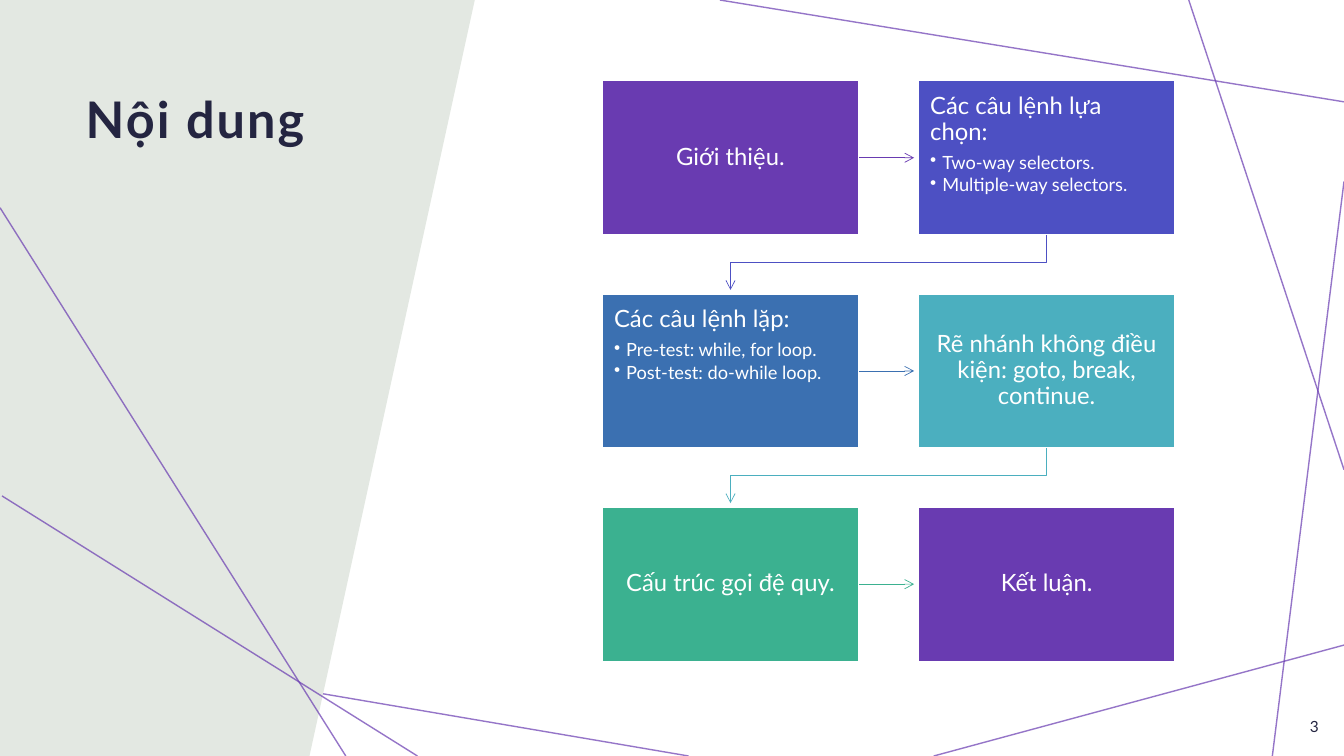
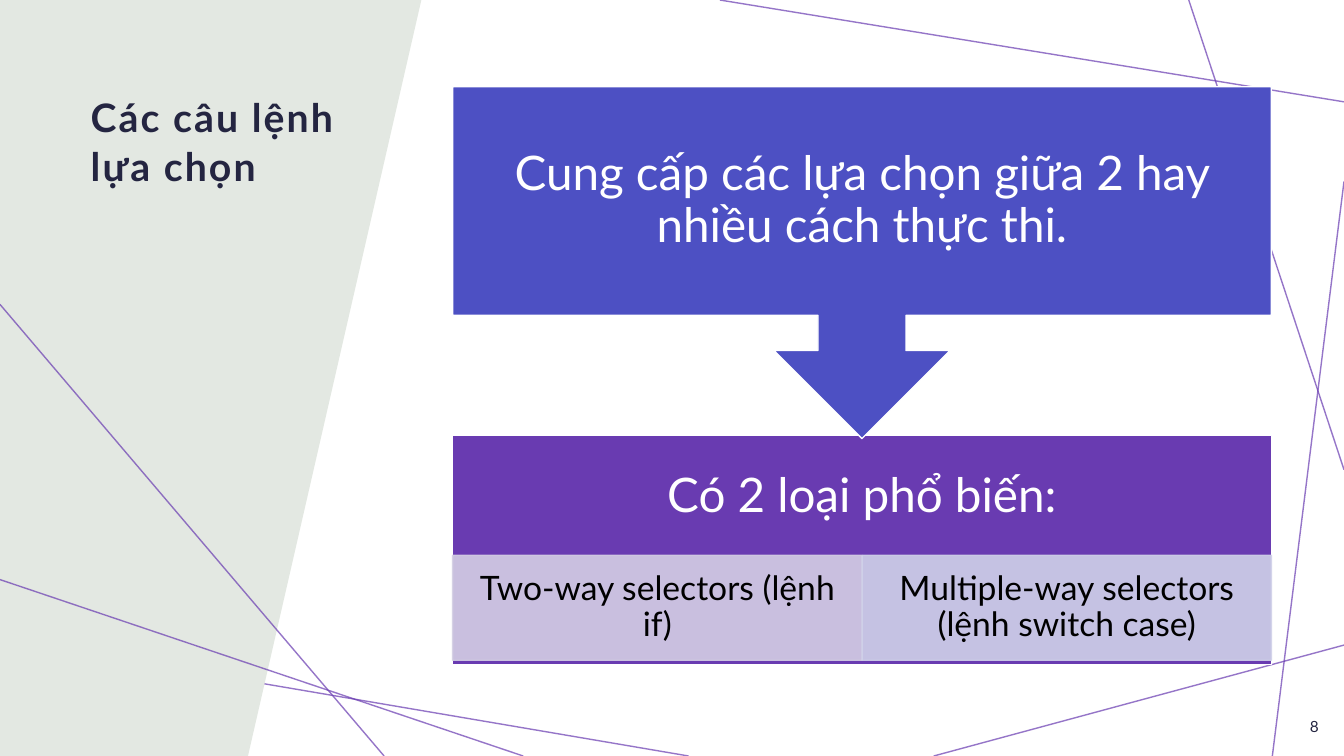
from lxml import etree
from pptx import Presentation
from pptx.dml.color import RGBColor as Rgb
from pptx.enum.shapes import MSO_CONNECTOR as Link, MSO_SHAPE as Kind
from pptx.enum.text import MSO_ANCHOR as Anchor, MSO_AUTO_SIZE as Fit, PP_ALIGN as Align
from pptx.oxml.ns import qn
from pptx.util import Inches, Pt

WIDE, HIGH = Inches(13.33), Inches(7.5)
PAGE = (0, 0, WIDE, HIGH)
FONT = "Lato"
WHITE = Rgb(0xFF, 0xFF, 0xFF)
BLACK = Rgb(0, 0, 0)
INK = Rgb(0x24, 0x25, 0x41)
SAGE = Rgb(0xE3, 0xE8, 0xE2)
PURPLE = Rgb(0x69, 0x3B, 0xB1)
INDIGO = Rgb(0x4D, 0x50, 0xC3)
BLUE = Rgb(0x3B, 0x70, 0xB1)
TEAL = Rgb(0x4B, 0xAF, 0xBF)
GREEN = Rgb(0x3B, 0xB1, 0x90)
LILAC = Rgb(0xD4, 0xCE, 0xE4)
HAZE = Rgb(0xD0, 0xD1, 0xE9)

RAYS = [
    (51.24, 100, 0, 84.5),
    (100, 85.33, 69.47, 100),
    (100, 24, 94.67, 100),
    (100, 62.13, 88.45, 0),
    (100, 13.47, 53.56, 0),
]
STEPS = [
    (PURPLE, "Giới thiệu.", []),
    (INDIGO, "Các câu lệnh lựa chọn:", ["Two-way selectors.", "Multiple-way selectors."]),
    (BLUE, "Các câu lệnh lặp:", ["Pre-test: while, for loop.", "Post-test: do-while loop."]),
    (TEAL, "Rẽ nhánh không điều kiện: goto, break, continue.", []),
    (GREEN, "Cấu trúc gọi đệ quy.", []),
    (PURPLE, "Kết luận.", []),
]


def part(box, x, y, w, h):
    left, top, wide, high = box
    return (int(left + wide * x / 100), int(top + high * y / 100),
            int(wide * w / 100), int(high * h / 100))


def spot(x, y):
    return part(PAGE, x, y, 0, 0)[:2]


def fade(node, share):
    for tint in node.iter(qn("a:srgbClr")):
        etree.SubElement(tint, qn("a:alpha")).set("val", str(share * 1000))


def inset(frame, side, top, base=None):
    frame.word_wrap = True
    frame.margin_left = frame.margin_right = Inches(side)
    frame.margin_top = Inches(top)
    frame.margin_bottom = Inches(top if base is None else base)


def write(para, text, size, color, align=Align.LEFT, pitch=0.9):
    para.alignment = align
    para.line_spacing = pitch
    run = para.add_run()
    run.text = text
    font = run.font
    font.name, font.size, font.color.rgb = FONT, Pt(size), color
    return run


def draw(slide, kind, start, end, color, width):
    line = slide.shapes.add_connector(kind, *start, *end)
    line.line.color.rgb = color
    line.line.width = Pt(width)
    etree.SubElement(line._element.spPr, qn("a:effectLst"))
    return line


def ray(slide, x1, y1, x2, y2):
    line = draw(slide, Link.STRAIGHT, spot(x1, y1), spot(x2, y2), PURPLE, 1)
    fade(line._element, 70)


def arrow(slide, kind, start, end, color):
    line = draw(slide, kind, start, end, color, 0.5)
    etree.SubElement(line.line._get_or_add_ln(), qn("a:tailEnd")).set("type", "arrow")
    return line


def block(slide, box, color, edge=WHITE, kind=Kind.RECTANGLE):
    shape = slide.shapes.add_shape(kind, *box)
    shape.shadow.inherit = False
    shape.fill.solid()
    shape.fill.fore_color.rgb = color
    shape.line.color.rgb = edge
    shape.line.width = Pt(1)
    shape.text_frame.vertical_anchor = Anchor.MIDDLE
    return shape


def panel(slide, top, base):
    form = slide.shapes.build_freeform(0, 0)
    form.add_line_segments([spot(top, 0), spot(base, 100), spot(0, 100)], close=True)
    shape = form.convert_to_shape()
    shape.shadow.inherit = False
    shape.fill.solid()
    shape.fill.fore_color.rgb = SAGE
    shape.line.fill.background()


def frame(deck, name, size, area, number, slant, rays):
    slide = deck.slides.add_slide(deck.slide_layouts[5])
    for ends in RAYS:
        ray(slide, *ends)
    panel(slide, *slant)
    for ends in rays:
        ray(slide, *ends)

    title = slide.shapes.title
    slide.shapes._spTree.append(title._element)
    title.left, title.top, title.width, title.height = part(PAGE, *area)
    body = title.text_frame
    body.auto_size = Fit.NONE
    body.vertical_anchor = Anchor.TOP
    inset(body, 0.12, 0.12, 0.1)
    run = write(body.paragraphs[0], name, size, INK, pitch=1.05)
    run.font.bold = True
    run.font._element.set("spc", "150")

    foot = slide.shapes.add_textbox(*part(PAGE, 95.2, 93.33, 3.83, 5.33)).text_frame
    inset(foot, 0.12, 0.12, 0.1)
    foot.vertical_anchor = Anchor.MIDDLE
    write(foot.paragraphs[0], number, 11, INK, Align.RIGHT, 1)
    return slide


def bullet(body, text):
    para = body.add_paragraph()
    write(para, text, 13, WHITE)
    para.space_after = Pt(2)
    prop = para._p.get_or_add_pPr()
    prop.set("marL", str(Inches(0.12)))
    prop.set("indent", str(-Inches(0.12)))
    etree.SubElement(prop, qn("a:buChar")).set("char", "•")


def step(slide, box, color, head, items):
    shape = block(slide, box, color)
    body = shape.text_frame
    inset(body, 0.12, 0.13)
    write(body.paragraphs[0], head, 17, WHITE, Align.LEFT if items else Align.CENTER)
    if items:
        body.vertical_anchor = Anchor.TOP
        body.paragraphs[0].space_after = Pt(6)
    for item in items:
        bullet(body, item)
    return shape


def bend(slide, start, end, color):
    x1, y1 = start
    x2, y2 = end
    midx, midy = (x1 + x2) // 2, (y1 + y2) // 2
    halfx, halfy = abs(y2 - y1) // 2, abs(x2 - x1) // 2
    line = arrow(slide, Link.ELBOW, (midx - halfx, midy - halfy),
                 (midx + halfx, midy + halfy), color)
    line._element.spPr.find(qn("a:xfrm")).set("rot", "5400000")


def flow(slide, box):
    left, top, wide, high = box
    cellw = int(wide / 2.23)
    cellh = int(cellw * 0.6)
    stepx, stepy = wide - cellw, (high - cellh) // 2
    gap = Inches(0.04)
    cells = []
    for i, (color, head, items) in enumerate(STEPS):
        row, col = divmod(i, 2)
        area = (left + col * stepx, top + row * stepy, cellw, cellh)
        cells.append(step(slide, area, color, head, items))
    for i, (here, there) in enumerate(zip(cells, cells[1:])):
        color = STEPS[i][0]
        if i % 2:
            bend(slide, (here.left + cellw // 2, here.top + cellh),
                 (there.left + cellw // 2, there.top - gap), color)
        else:
            y = here.top + cellh // 2
            line = arrow(slide, Link.STRAIGHT, (here.left + cellw, y),
                         (there.left - gap, y), color)
            line.begin_connect(here, 3)


def split(slide, box):
    base = block(slide, part(box, 0, 60.38, 100, 39.62), PURPLE)
    inset(base.text_frame, 0.26, 0.26, 1.3)
    write(base.text_frame.paragraphs[0], "Có 2 loại phổ biến:", 34, WHITE, Align.CENTER)

    kinds = [(LILAC, "Two-way selectors (lệnh if)"),
             (HAZE, "Multiple-way selectors (lệnh switch case)")]
    for i, (color, text) in enumerate(kinds):
        cell = block(slide, part(box, 50 * i, 81.15, 50, 18.15), color, color)
        fade(cell._element.spPr, 90)
        inset(cell.text_frame, 0.19, 0.03)
        write(cell.text_frame.paragraphs[0], text, 24, BLACK, Align.CENTER)

    call = block(slide, part(box, 0, 0, 100, 60.91), INDIGO, kind=Kind.DOWN_ARROW_CALLOUT)
    inset(call.text_frame, 0.26, 0.26)
    write(call.text_frame.paragraphs[0],
          "Cung cấp các lựa chọn giữa 2 hay nhiều cách thực thi.", 34, WHITE, Align.CENTER)


def main():
    deck = Presentation()
    deck.slide_width, deck.slide_height = WIDE, HIGH
    plan = frame(deck, "Nội dung", 36, (5.48, 9.6, 24.3, 42.53), "3", (35.33, 23.03),
                 [(31.06, 100, 0.15, 65.6), (0, 27.47, 25.73, 100)])
    flow(plan, part(PAGE, 44.79, 10.67, 42.65, 76.8))
    pick = frame(deck, "Các câu lệnh lựa chọn", 28, (5.85, 10.4, 22.73, 27.07), "8",
                 (31.35, 18.45), [(0, 40.27, 28.58, 100), (38.93, 100, 0, 76.67)])
    split(pick, part(PAGE, 33.68, 11.47, 60.92, 76.4))
    deck.save("out.pptx")


if __name__ == "__main__":
    main()
